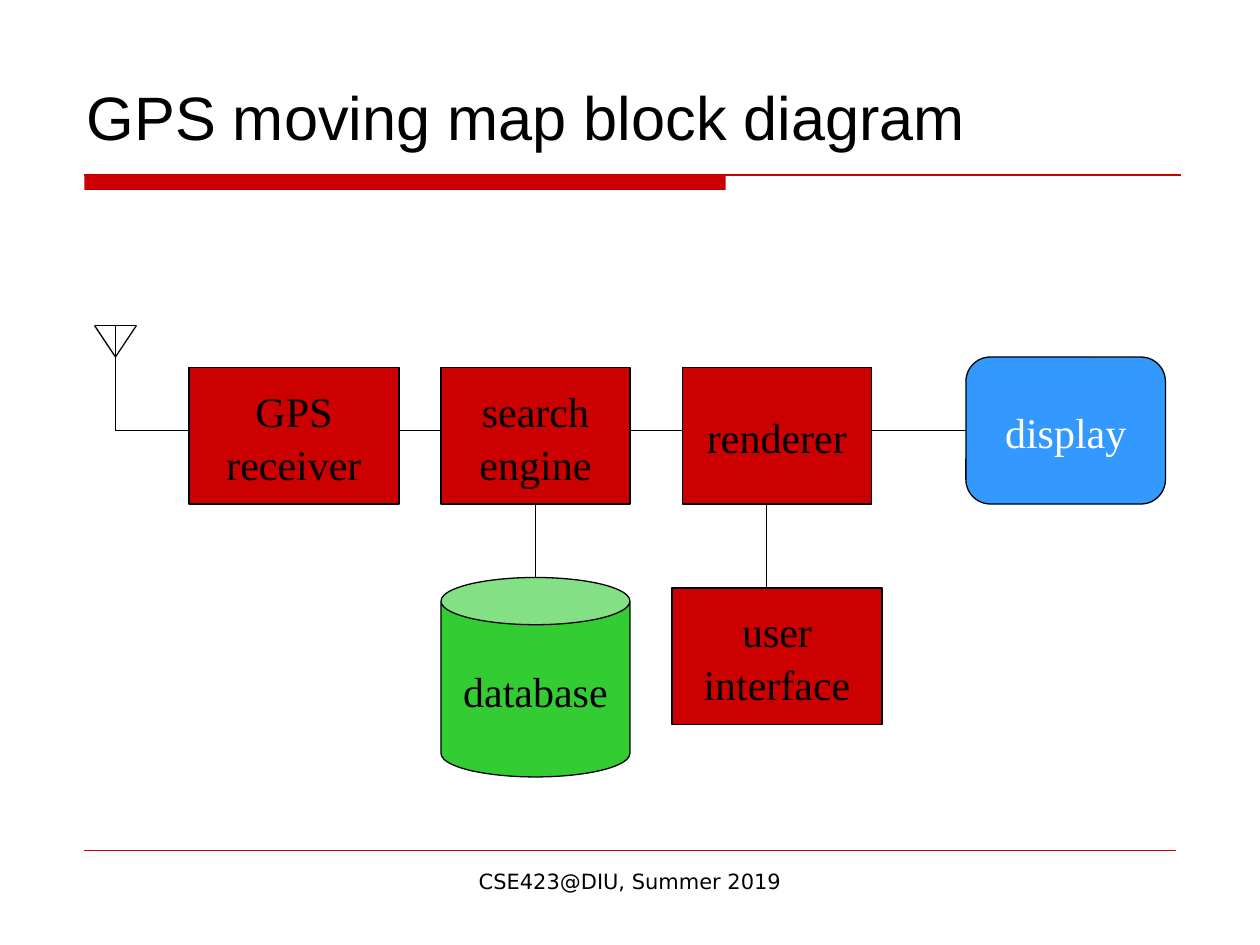
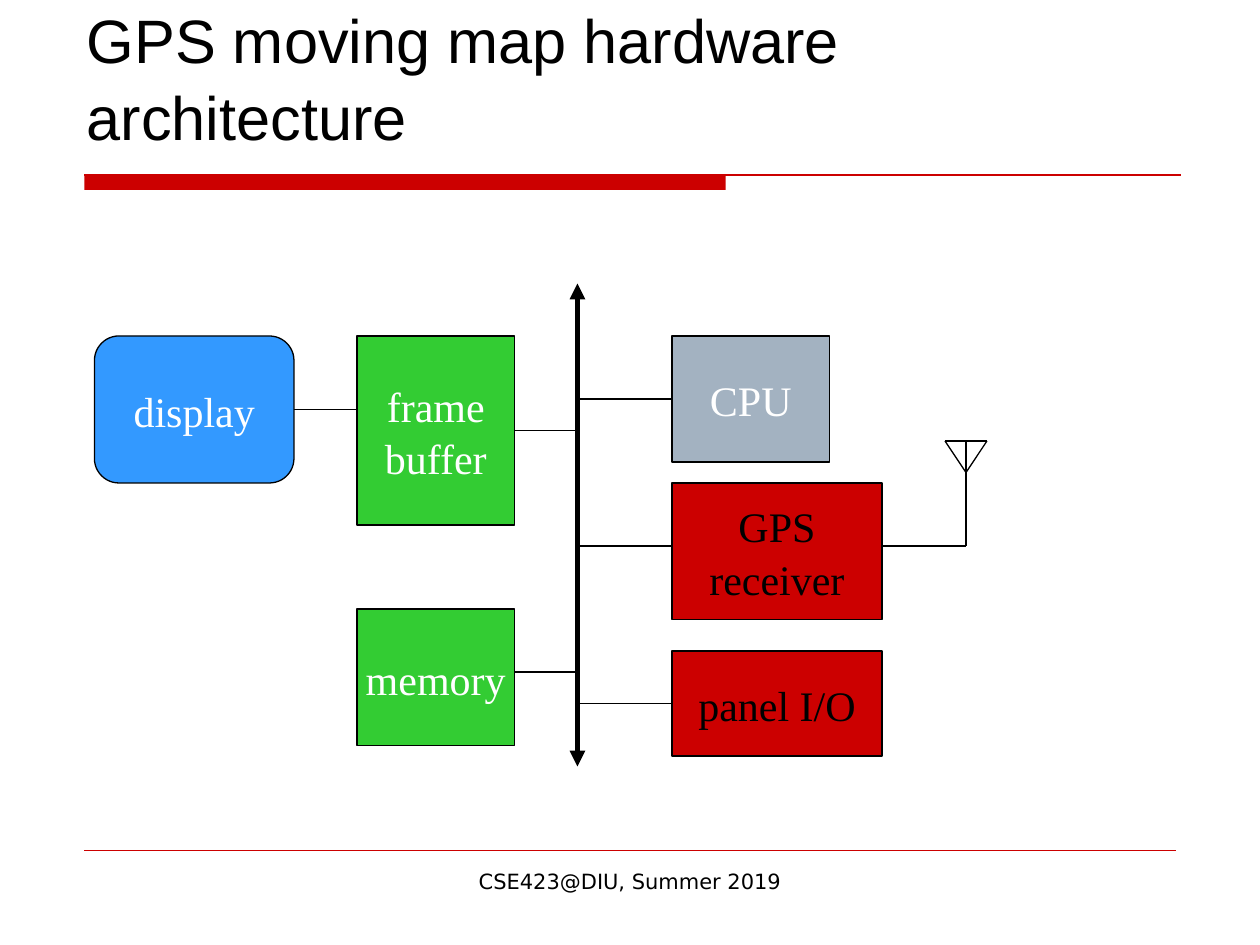
from dataclasses import dataclass

from lxml import etree
from pptx import Presentation
from pptx import util as u
from pptx.dml.color import RGBColor
from pptx.enum import shapes, text
from pptx.oxml import ns


@dataclass(frozen=True)
class Theme:
    red: str = "CC0000"
    green: str = "33CC33"
    blue: str = "3399FF"
    grey: str = "A3B2C1"
    black: str = "000000"
    white: str = "FFFFFF"
    title_font: str = "Arial"
    block_font: str = "Times New Roman"
    footer_font: str = "DejaVu Sans"
    title_size: int = 35
    block_size: int = 24
    footer_size: int = 12
    thin: float = 0.75
    hairline: float = 0.25
    bus: float = 3
    spacing: float = 1.05


THEME = Theme()
TOP, LEFT, BOTTOM, RIGHT = range(4)
COURSE = "CSE423@DIU, Summer 2019"


def grid(*steps):
    """Lengths on the diagram grid, twelve steps to 2.54 cm."""
    return [u.Cm(step * 2.54 / 12) for step in steps]


def cms(*lengths):
    return [u.Cm(length) for length in lengths]


# Text
def write(shape, words, font, size, color, align, **frame_format):
    frame = shape.text_frame
    frame.text = words
    for key, value in frame_format.items():
        setattr(frame, key, value)
    for paragraph in frame.paragraphs:
        paragraph.alignment = align
        paragraph.line_spacing = THEME.spacing
        for key, value in {"name": font, "size": u.Pt(size)}.items():
            setattr(paragraph.font, key, value)
        paragraph.font.color.rgb = RGBColor.from_string(color)


# Lines
def line(parent, start, end, color=THEME.black, width=THEME.thin, arrows=False):
    stroke = parent.shapes.add_connector(shapes.MSO_CONNECTOR.STRAIGHT, *start, *end)
    stroke.line.color.rgb = RGBColor.from_string(color)
    stroke.line.width = u.Pt(width)
    if arrows:
        outline = stroke.line._get_or_add_ln()
        for tip in ("a:headEnd", "a:tailEnd"):
            etree.SubElement(outline, ns.qn(tip), type="triangle")
    etree.SubElement(stroke._element.spPr, ns.qn("a:effectLst"))
    return stroke


def wire(parent, start, end, **style):
    return line(parent, grid(*start), grid(*end), **style)


def antenna(slide, x, top, foot):
    group = slide.shapes.add_group_shape()
    left, right, apex = (x - 2, top), (x + 2, top), (x, top + 3)
    for start, end in (((x, top), (x, foot)), (left, right), (left, apex), (apex, right)):
        wire(group, start, end)


# Blocks
def block(slide, label, place, fill, color=THEME.black,
          preset=shapes.MSO_SHAPE.RECTANGLE):
    box = slide.shapes.add_shape(preset, *grid(*place))
    box.shadow.inherit = False
    box.fill.solid()
    box.fill.fore_color.rgb = RGBColor.from_string(fill)
    box.line.color.rgb = RGBColor.from_string(THEME.black)
    box.line.width = u.Pt(THEME.thin)
    write(box, label, THEME.block_font, THEME.block_size, color,
          text.PP_ALIGN.CENTER, word_wrap=False,
          vertical_anchor=text.MSO_ANCHOR.MIDDLE)
    return box


def display_block(slide, x, y):
    return block(slide, "display", (x, y, 19, 14), THEME.blue, THEME.white,
                 shapes.MSO_SHAPE.ROUNDED_RECTANGLE)


def receiver_block(slide, x, y):
    return block(slide, "GPS\nreceiver", (x, y, 20, 13), THEME.red)


# Title, rules and footer shared by the slides
def new_slide(deck, heading):
    slide = deck.slides.add_slide(deck.slide_layouts[6])
    band = slide.shapes.add_shape(shapes.MSO_SHAPE.RECTANGLE, *cms(1.7, 3.53, 12.93, 0.3))
    band.shadow.inherit = False
    band.fill.solid()
    band.fill.fore_color.rgb = RGBColor.from_string(THEME.red)
    band.line.fill.background()
    line(slide, cms(1.7, 3.53), cms(23.8, 3.53), THEME.red)
    line(slide, cms(1.7, 17.15), cms(23.7, 17.15), THEME.red, THEME.hairline)

    title = slide.shapes.add_textbox(*cms(1.5, 0.53, 22.22, 2.67))
    write(title, heading, THEME.title_font, THEME.title_size, THEME.black,
          text.PP_ALIGN.LEFT, word_wrap=True, vertical_anchor=text.MSO_ANCHOR.BOTTOM)
    footer = slide.shapes.add_textbox(*cms(8.68, 17.36, 8.04, 1.32))
    write(footer, COURSE, THEME.footer_font, THEME.footer_size, THEME.black,
          text.PP_ALIGN.CENTER, word_wrap=True)
    return slide


def block_diagram(deck):
    slide = new_slide(deck, "GPS moving map block diagram")

    # The signal runs behind the blocks from antenna to display
    signal = wire(slide, (11, 41), (92, 41))
    antenna(slide, 11, 31, 41)
    receiver_block(slide, 18, 35)
    search = block(slide, "search\nengine", (42, 35, 18, 13), THEME.red)
    block(slide, "renderer", (65, 35, 18, 13), THEME.red)
    signal.end_connect(display_block(slide, 92, 34), LEFT)

    # Lower row
    block(slide, "database", (42, 55, 18, 19), THEME.green,
          preset=shapes.MSO_SHAPE.CAN)
    block(slide, "user\ninterface", (64, 56, 20, 13), THEME.red)
    wire(slide, (51, 55), (51, 48)).end_connect(search, BOTTOM)
    wire(slide, (73, 48), (73, 56))


def hardware_architecture(deck):
    slide = new_slide(deck, "GPS moving map hardware architecture")
    bus_x = 55
    wire(slide, (bus_x, 27), (bus_x, 73), width=THEME.bus, arrows=True)

    # Left of the bus
    display = display_block(slide, 9, 32)
    frame_buffer = block(slide, "frame\nbuffer", (34, 32, 15, 18), THEME.green, THEME.white)
    block(slide, "memory", (34, 58, 15, 13), THEME.green, THEME.white)
    video = wire(slide, (28, 39), (34, 39))
    video.begin_connect(display, RIGHT)
    wire(slide, (49, 41), (bus_x, 41)).begin_connect(frame_buffer, RIGHT)
    wire(slide, (49, 64), (bus_x, 64))

    # Right of the bus
    cpu = block(slide, "CPU", (64, 32, 15, 12), THEME.grey, THEME.white)
    receiver_block(slide, 64, 46)
    panel = block(slide, "panel I/O", (64, 62, 20, 10), THEME.red)
    for unit, y in ((cpu, 38), (panel, 67)):
        wire(slide, (64, y), (bus_x, y)).begin_connect(unit, LEFT)
    wire(slide, (64, 52), (bus_x, 52))
    wire(slide, (92, 52), (84, 52))
    antenna(slide, 92, 42, 52)


def main():
    deck = Presentation()
    deck.slide_width, deck.slide_height = cms(25.4, 19.05)
    block_diagram(deck)
    hardware_architecture(deck)
    deck.save("out.pptx")


if __name__ == "__main__":
    main()
